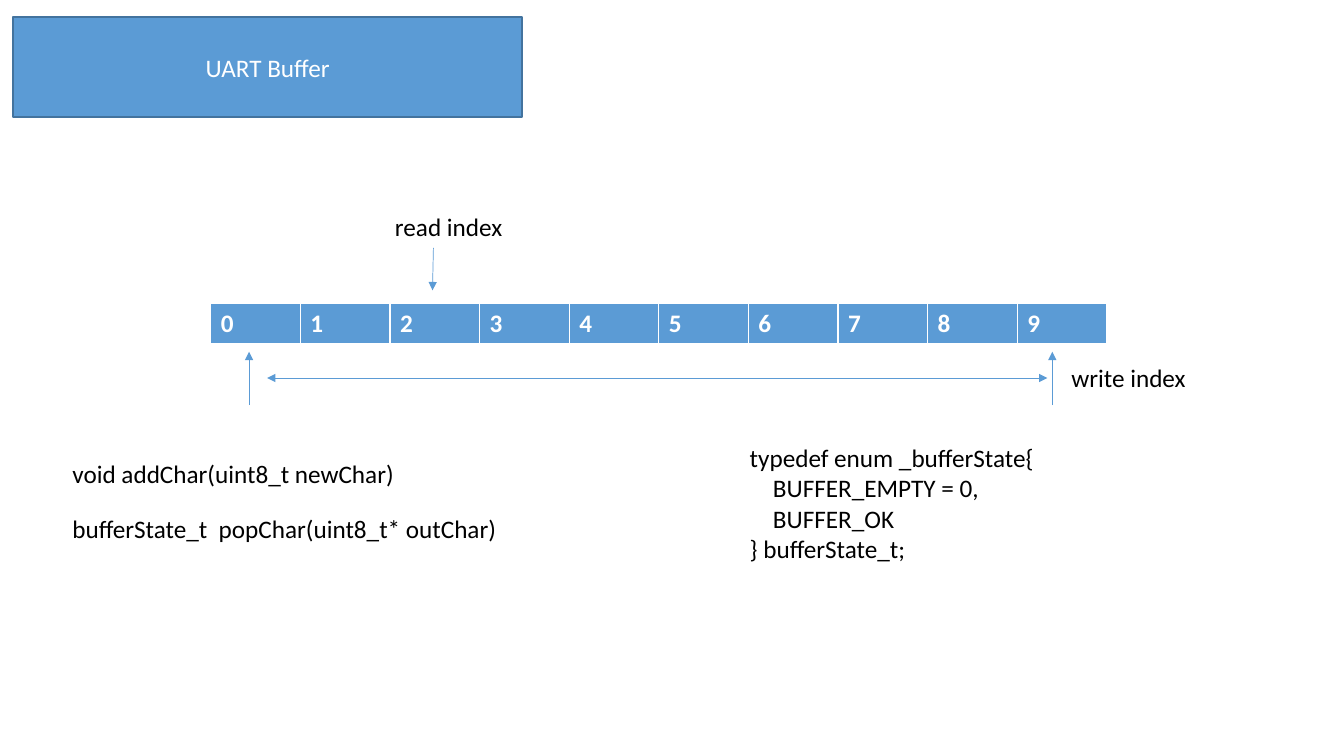
from dataclasses import dataclass

from pptx import Presentation
from pptx.dml.color import RGBColor
from pptx.enum.shapes import MSO_CONNECTOR, MSO_SHAPE
from pptx.enum.text import MSO_ANCHOR, MSO_AUTO_SIZE, PP_ALIGN
from pptx.oxml.ns import qn
from pptx.util import Inches, Pt
from lxml.etree import SubElement


@dataclass(frozen=True)
class Theme:
    """Colours, font and sizes of the slide."""
    accent: str = "5B9BD5"
    outline: str = "43739E"
    light: str = "FFFFFF"
    dark: str = "000000"
    font: str = "Calibri"
    size: int = 18
    indent: float = 0.23


T = Theme()
WIDTH, HEIGHT = Inches(13.333), Inches(7.5)
CELLS = 10
BUFFER_LEFT, BUFFER_TOP, CELL_WIDTH, CELL_HEIGHT = 15.68, 40.13, 6.67, 5.47
LABEL_HEIGHT = 5.33
FIRST_X, LAST_X = 18.53, 78.3
POINTER_TOP, POINTER_BOTTOM = 46.53, 53.6
CODE_LEFT = 4.65


def x(share):
    """Turn a percentage of the slide width into a length."""
    return round(WIDTH * share / 100)


def y(share):
    """Turn a percentage of the slide height into a length."""
    return round(HEIGHT * share / 100)


def box(left, top, width, height):
    """Turn four percentages into a position and a size."""
    return x(left), y(top), x(width), y(height)


def add_run(p, text, color, bold=False):
    """Add one styled run to a paragraph."""
    r = p.add_run()
    r.text = text
    r.font.name, r.font.size, r.font.bold = T.font, Pt(T.size), bold
    r.font.color.rgb = RGBColor.from_string(color)


def add_title(s, text, *place):
    """Add the filled title box."""
    sp = s.shapes.add_shape(MSO_SHAPE.RECTANGLE, *box(*place))
    sp.shadow.inherit = False
    sp.fill.solid()
    sp.fill.fore_color.rgb = RGBColor.from_string(T.accent)
    sp.line.color.rgb = RGBColor.from_string(T.outline)
    sp.line.width = Pt(1)
    tf = sp.text_frame
    tf.vertical_anchor = MSO_ANCHOR.MIDDLE
    p = tf.paragraphs[0]
    p.alignment = PP_ALIGN.CENTER
    add_run(p, text, T.light)


def add_text(s, lines, left, top, width, height=LABEL_HEIGHT):
    """Add unwrapped text from (indent level, wording) lines."""
    tf = s.shapes.add_textbox(*box(left, top, width, height)).text_frame
    tf.word_wrap = False
    tf.auto_size = MSO_AUTO_SIZE.SHAPE_TO_FIT_TEXT
    for i, (level, text) in enumerate(lines):
        p = tf.add_paragraph() if i else tf.paragraphs[0]
        if level:
            p._p.get_or_add_pPr().set("marL", str(Inches(level * T.indent)))
        add_run(p, text, T.dark)


def add_arrow(s, start, end, ends=("tailEnd",)):
    """Add a thin line with triangle arrowheads."""
    c = s.shapes.add_connector(MSO_CONNECTOR.STRAIGHT, x(start[0]), y(start[1]),
                               x(end[0]), y(end[1]))
    c.line.color.rgb = RGBColor.from_string(T.accent)
    c.line.width = Pt(0.5)
    for name in ends:
        SubElement(c.line._get_or_add_ln(), qn(f"a:{name}")).set("type", "triangle")
    SubElement(c._element.spPr, qn("a:effectLst"))


def add_borders(cell):
    """Draw the light borders of a cell, thickest at the bottom."""
    tcPr = cell._tc.get_or_add_tcPr()
    for side, width in (("L", 1), ("R", 1), ("T", 1), ("B", 3)):
        ln = SubElement(tcPr, qn(f"a:ln{side}"), w=str(Pt(width)))
        fill = SubElement(ln, qn("a:solidFill"))
        SubElement(fill, qn("a:srgbClr"), val=T.light)


def add_buffer(s):
    """Add the row of numbered buffer cells."""
    frame = s.shapes.add_table(1, CELLS, *box(BUFFER_LEFT, BUFFER_TOP,
                                              CELLS * CELL_WIDTH, CELL_HEIGHT))
    for i in range(CELLS):
        cell = frame.table.cell(0, i)
        add_borders(cell)
        cell.fill.solid()
        cell.fill.fore_color.rgb = RGBColor.from_string(T.accent)
        add_run(cell.text_frame.paragraphs[0], str(i), T.light, bold=True)


def main():
    """Build the buffer slide and save it."""
    prs = Presentation()
    prs.slide_width, prs.slide_height = WIDTH, HEIGHT
    s = prs.slides.add_slide(prs.slide_layouts[6])
    add_title(s, "UART Buffer", 0.98, 2.27, 37.88, 13.2)
    add_buffer(s)
    add_text(s, [(0, "read index")], 28.65, 27.33, 9.6)
    add_arrow(s, (32.25, 32.8), (32.18, 38.4))
    add_text(s, [(0, "write index")], 78.98, 47.33, 10.13)
    for pointer in (FIRST_X, LAST_X):
        add_arrow(s, (pointer, POINTER_BOTTOM), (pointer, POINTER_TOP))
    add_arrow(s, (77.93, 50), (19.88, 50), ("headEnd", "tailEnd"))
    add_text(s, [(0, "void addChar(uint8_t newChar)")], CODE_LEFT, 60, 25.73)
    add_text(s, [(0, "bufferState_t  popChar(uint8_t* outChar)")], CODE_LEFT, 67.2, 33.45)
    add_text(s, [(0, "typedef enum _bufferState{"), (1, "BUFFER_EMPTY = 0,"),
                 (1, "BUFFER_OK"), (0, "} bufferState_t;")], 55.05, 57.87, 22.95, 17.47)
    prs.save("out.pptx")


if __name__ == "__main__":
    main()
